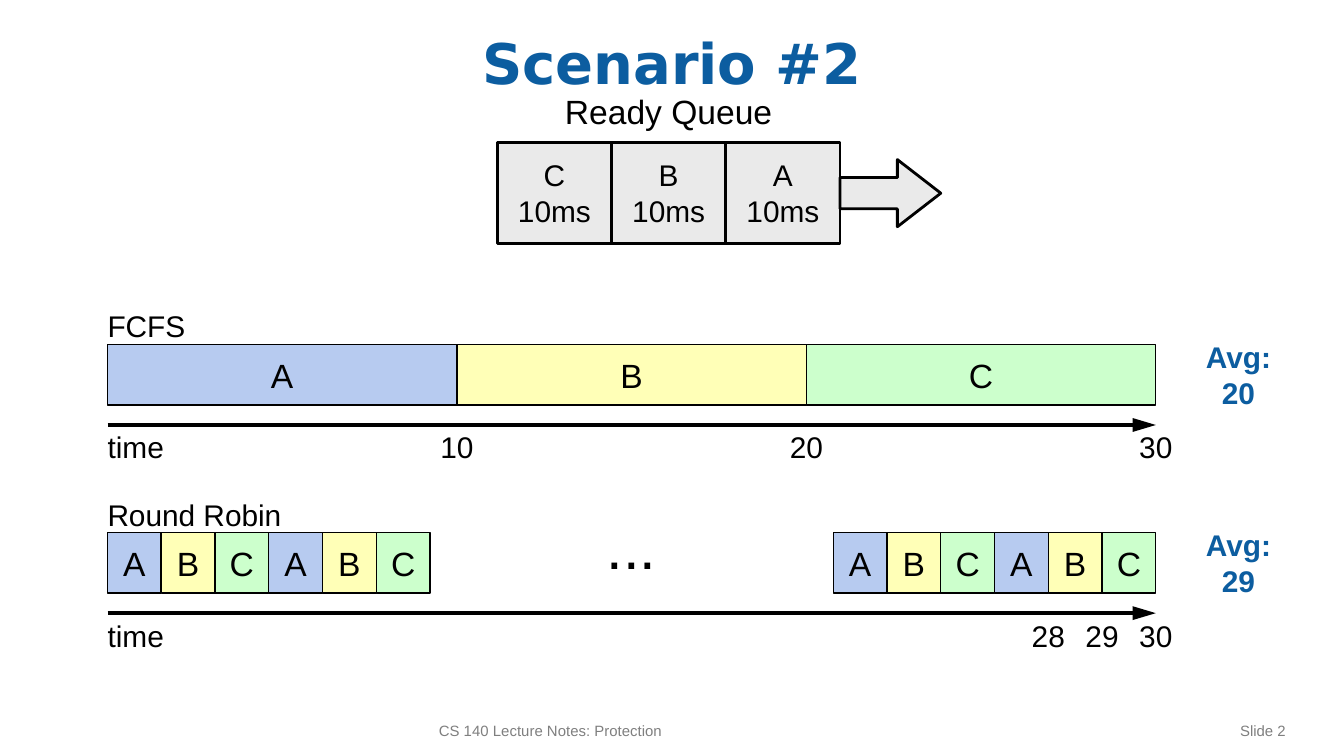
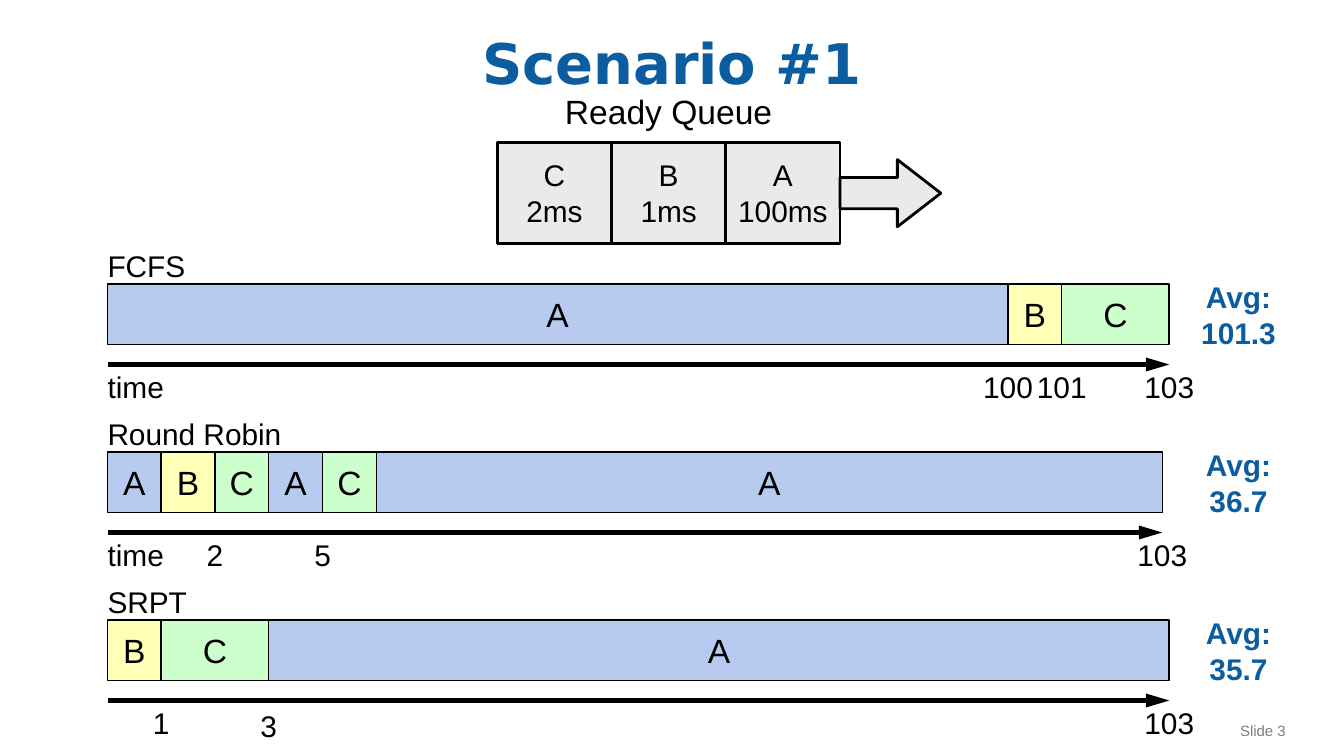
"""Build two slides that compare scheduling policies on a ready queue."""
from dataclasses import dataclass
from typing import Any, NamedTuple

from lxml import etree
from pptx import Presentation
from pptx import util as u
from pptx.dml import color
from pptx.enum import shapes, text
from pptx.oxml import ns


@dataclass(frozen=True)
class Theme:
    """Colours, fonts and sizes in points."""
    blue: str = "0C5DA0"
    ink: str = "000000"
    grey: str = "7F7F7F"
    queue: str = "EAEAEA"
    jobs: tuple = (("A", "B7CBF0"), ("B", "FFFFB7"), ("C", "CCFFCC"))
    head: str = "DejaVu Sans"
    body: str = "Arial"
    title: float = 30
    dots: float = 32
    large: float = 18
    base: float = 16
    small: float = 8
    thin: float = 0.75
    edge: float = 1.5
    axis: float = 2.5


class Box(NamedTuple):
    """A place on the slide, in points."""
    x: float
    y: float
    w: float
    h: float


@dataclass(frozen=True)
class Style:
    """How a piece of text looks."""
    size: float
    tint: str = Theme.ink
    font: str = Theme.body
    bold: bool = False
    align: Any = text.PP_ALIGN.CENTER


@dataclass(frozen=True)
class Slot:
    """One stretch of a timeline; size is in units, end is its time mark."""
    job: str
    size: float = 1
    end: str = ""
    drop: float = 0


@dataclass(frozen=True)
class Row:
    """One policy with its bar top, slots and average."""
    name: str
    top: float
    slots: list[Slot]
    mean: str
    time: bool = True


@dataclass(frozen=True)
class Scene:
    """The content of one slide."""
    title: str
    page: str
    queue: list[str]
    rows: list[Row]
    note: str = ""


THEME = Theme()
LEFT = text.PP_ALIGN.LEFT
TITLE = Style(THEME.title, THEME.blue, THEME.head, True)
NOTE = Style(THEME.small, THEME.grey, align=LEFT)
PAGE = Style(THEME.small, THEME.grey, align=text.PP_ALIGN.RIGHT)
LARGE = Style(THEME.large)
BASE = Style(THEME.base)
LABEL = Style(THEME.base, align=LEFT)
MEAN = Style(THEME.base, THEME.blue, bold=True)

START, UNIT, BAR, LINE = 57.6, 28.8, 32.4, 19.44
QUEUE = Box(266.4, 76.32, 61.2, 54)


def rgb(code: str) -> color.RGBColor:
    """Turn a hex code into a colour."""
    return color.RGBColor.from_string(code)


def write(frame: Any, words: str, style: Style) -> None:
    """Add the words run by run, with a break between lines."""
    para = frame.paragraphs[0]
    para.alignment = style.align
    for num, part in enumerate(words.split("\n")):
        if num:
            para.add_line_break()
        run = para.add_run()
        run.text = part
        run.font.size = u.Pt(style.size)
        run.font.name = style.font
        run.font.bold = style.bold
        run.font.color.rgb = rgb(style.tint)


def label(slide: Any, box: Box, words: str, style: Style,
          tight: bool = True, wrap: bool = True) -> None:
    """Add a text box, tight at the top or padded and centred."""
    frame = slide.shapes.add_textbox(*map(u.Pt, box)).text_frame
    frame.word_wrap = wrap
    if tight:
        frame.margin_left = frame.margin_right = 0
        frame.margin_top = frame.margin_bottom = 0
        frame.auto_size = text.MSO_AUTO_SIZE.SHAPE_TO_FIT_TEXT
    else:
        frame.vertical_anchor = text.MSO_ANCHOR.MIDDLE
    write(frame, words, style)


def block(slide: Any, kind: Any, box: Box, fill: str, edge: float) -> Any:
    """Add a filled shape with a black edge."""
    shape = slide.shapes.add_shape(kind, *map(u.Pt, box))
    shape.shadow.inherit = False
    shape.fill.solid()
    shape.fill.fore_color.rgb = rgb(fill)
    shape.line.color.rgb = rgb(THEME.ink)
    shape.line.width = u.Pt(edge)
    return shape


def cell(slide: Any, box: Box, fill: str, edge: float,
         words: str, style: Style) -> None:
    """Add a rectangle with centred text."""
    kind = shapes.MSO_SHAPE.RECTANGLE
    frame = block(slide, kind, box, fill, edge).text_frame
    frame.word_wrap = False
    frame.vertical_anchor = text.MSO_ANCHOR.MIDDLE
    write(frame, words, style)


def axis(slide: Any, end: float, y: float) -> None:
    """Add a time arrow from the start to the end."""
    line = slide.shapes.add_connector(
        shapes.MSO_CONNECTOR.STRAIGHT, *map(u.Pt, (START, y, end, y)))
    line.line.color.rgb = rgb(THEME.ink)
    line.line.width = u.Pt(THEME.axis)
    props = line._element.spPr
    etree.SubElement(props.find(ns.qn("a:ln")), ns.qn("a:tailEnd"),
                     type="triangle", w="med", len="lg")
    etree.SubElement(props, ns.qn("a:effectLst"))


def draw_queue(slide: Any, jobs: list[str]) -> None:
    """Draw the ready queue and its way out."""
    x, y, w, h = QUEUE
    end = x + w * len(jobs)
    label(slide, Box(x, 48.96, end - x, 21.6), "Ready Queue", LARGE)
    for num, job in enumerate(jobs):
        cell(slide, Box(x + num * w, y, w, h), THEME.queue, THEME.edge,
             job, BASE)
    arrow = block(slide, shapes.MSO_SHAPE.RIGHT_ARROW,
                  Box(end, y + 9.2, 54, 36), THEME.queue, THEME.edge)
    arrow.adjustments[0] = 0.465
    arrow.adjustments[1] = 0.646


def draw_row(slide: Any, row: Row) -> None:
    """Draw one policy: name, bar, axis, marks and average."""
    fills = dict(THEME.jobs)
    mark = row.top + 45.4
    label(slide, Box(START, row.top - LINE, 95, LINE), row.name, LABEL,
          wrap=False)
    x = START
    for slot in row.slots:
        w = slot.size * UNIT
        if slot.job in fills:
            cell(slide, Box(x, row.top, w, BAR), fills[slot.job],
                 THEME.thin, slot.job, LARGE)
        else:
            label(slide, Box(x, row.top - 12.2, w, 38.9), slot.job,
                  Style(THEME.dots))
        x += w
        if slot.end:
            label(slide, Box(x - 18, mark + slot.drop, 36, LINE),
                  slot.end, BASE)
    axis(slide, x, row.top + 43.2)
    if row.time:
        label(slide, Box(START, mark, 30.24, LINE), "time", BASE, wrap=False)
    label(slide, Box(643.2, row.top - 2.9, 40.6, 2 * LINE),
          f"Avg:\n{row.mean}", MEAN, wrap=False)


def draw(deck: Any, scene: Scene) -> None:
    """Add one slide for the scene."""
    slide = deck.slides.add_slide(deck.slide_layouts[6])
    label(slide, Box(24, 11.5, 672, 43.2), scene.title, TITLE, tight=False)
    if scene.note:
        label(slide, Box(228, 383, 270, 17.3), scene.note, NOTE, tight=False)
    label(slide, Box(516, 383, 180, 17.3), scene.page, PAGE, tight=False)
    draw_queue(slide, scene.queue)
    for row in scene.rows:
        draw_row(slide, row)


SCENES = [
    Scene("Scenario #2", "Slide 2", ["C\n10ms", "B\n10ms", "A\n10ms"], [
        Row("FCFS", 184.5, [Slot("A", 6.5, "10"), Slot("B", 6.5, "20"),
                            Slot("C", 6.5, "30")], "20"),
        Row("Round Robin", 285.3, [
            *map(Slot, "ABCABC"), Slot("...", 7.5), *map(Slot, "ABC"),
            Slot("A", end="28"), Slot("B", end="29"), Slot("C", end="30"),
        ], "29"),
    ], "CS 140 Lecture Notes: Protection"),
    Scene("Scenario #1", "Slide 3", ["C\n2ms", "B\n1ms", "A\n100ms"], [
        Row("FCFS", 152.1, [Slot("A", 16.75, "100"), Slot("B", 1, "101"),
                            Slot("C", 2, "103")], "101.3"),
        Row("Round Robin", 242.1, [
            Slot("A"), Slot("B", end="2"), Slot("C"), Slot("A", end="5"),
            Slot("C"), Slot("A", 14.62, "103")], "36.7"),
        Row("SRPT", 332.1, [Slot("B", 1, "1"), Slot("C", 2, "3", 1.5),
                            Slot("A", 16.75, "103")], "35.7", time=False),
    ]),
]


def main() -> None:
    """Build and save the deck."""
    deck = Presentation()
    deck.slide_width, deck.slide_height = u.Pt(720), u.Pt(405)
    for scene in SCENES:
        draw(deck, scene)
    deck.save("out.pptx")


main()
